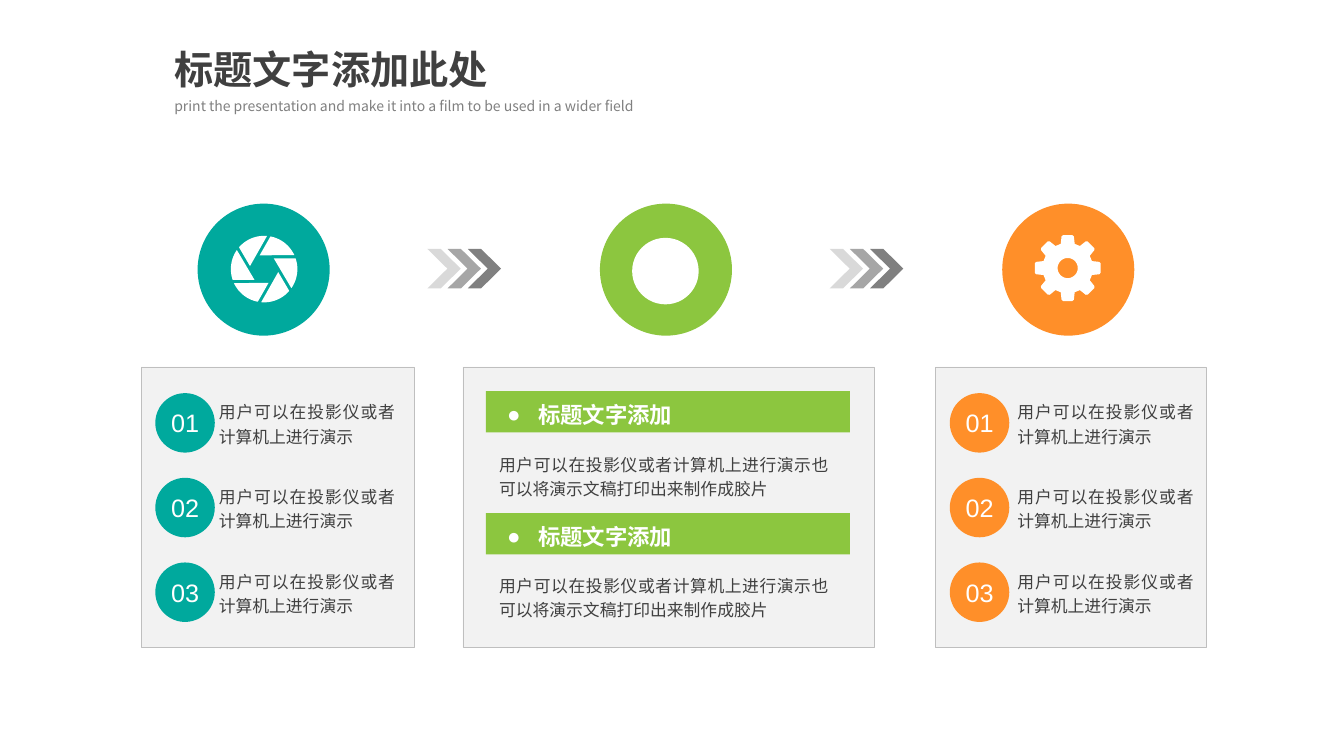
from dataclasses import dataclass
from math import cos, radians, sin

from lxml import etree
from pptx import Presentation
from pptx.dml.color import RGBColor
from pptx.enum.shapes import MSO_SHAPE
from pptx.enum.text import MSO_ANCHOR, MSO_AUTO_SIZE, PP_ALIGN
from pptx.oxml.ns import qn
from pptx.util import Emu, Pt

PX = 9144
RECTANGLE, OVAL, CHEVRON = MSO_SHAPE.RECTANGLE, MSO_SHAPE.OVAL, MSO_SHAPE.CHEVRON
LEFT, CENTER, JUSTIFY = PP_ALIGN.LEFT, PP_ALIGN.CENTER, PP_ALIGN.JUSTIFY
TOP, MIDDLE = MSO_ANCHOR.TOP, MSO_ANCHOR.MIDDLE
FIT_SHAPE, NO_FIT = MSO_AUTO_SIZE.SHAPE_TO_FIT_TEXT, MSO_AUTO_SIZE.NONE

SANS = "Noto Sans CJK SC"
TEAL, GREEN, ORANGE = "00A99D", "8CC63F", "FF8F29"
WHITE, DARK, GRAY = "FFFFFF", "404040", "808080"
PANEL_FILL, PANEL_LINE = "F2F2F2", "BFBFBF"
CHEVRON_GRAYS = ("D9D9D9", "A6A6A6", GRAY)
STEP_TEXT = "用户可以在投影仪或者计算机上进行演示"
TOPIC_TITLE = "标题文字添加"
TOPIC_TEXT = "用户可以在投影仪或者计算机上进行演示也可以将演示文稿打印出来制作成胶片"

Contour = list[tuple[float, float]]


@dataclass
class Stage:
    color: str
    icon_left: int
    panel_left: int
    panel_width: int


@dataclass
class StepColumn:
    color: str
    badge_left: int
    text_left: int


@dataclass
class Topic:
    bar_top: int
    text_top: int


STAGES = (
    Stage(TEAL, 196, 140, 271),
    Stage(GREEN, 595, 459, 408),
    Stage(ORANGE, 994, 928, 268),
)
STEP_COLUMNS = (StepColumn(TEAL, 154, 212), StepColumn(ORANGE, 942, 1004))
TOPICS = (Topic(388, 442), Topic(509, 562))
CHEVRON_LEFTS = (424, 823)


def px(value: float) -> Emu:
    return Emu(round(value * PX))


def rgb(color: str) -> RGBColor:
    return RGBColor.from_string(color)


def style(shape, fill: str, line: str | None = None):
    shape.shadow.inherit = False
    shape.fill.solid()
    shape.fill.fore_color.rgb = rgb(fill)
    if line:
        shape.line.color.rgb = rgb(line)
        shape.line.width = Pt(0.25)
    else:
        shape.line.fill.background()
    return shape


def add_shape(page, kind, left: int, top: int, width: int, height: int,
              fill: str, line: str | None = None):
    shape = page.shapes.add_shape(kind, px(left), px(top), px(width), px(height))
    return style(shape, fill, line)


def add_bullet(para, indent: int) -> None:
    properties = para._p.get_or_add_pPr()
    properties.set("marL", str(px(indent)))
    properties.set("indent", str(-px(indent)))
    etree.SubElement(properties, qn("a:buFont"), typeface="Arial")
    etree.SubElement(properties, qn("a:buChar"), char="●")


def write(shape, text: str, *, size: int, color: str, font: str = SANS,
          bold: bool = False, align=LEFT, anchor=TOP, inset: int = 5,
          wrap: bool = True, fit=FIT_SHAPE, spacing: float = 1.0,
          bullet_indent: int = 0) -> None:
    frame = shape.text_frame
    frame.auto_size = fit
    frame.word_wrap = wrap
    frame.vertical_anchor = anchor
    frame.margin_left = frame.margin_right = px(inset)
    frame.margin_top = frame.margin_bottom = px(inset)
    para = frame.paragraphs[0]
    if bullet_indent:
        add_bullet(para, bullet_indent)
    para.alignment = align
    para.line_spacing = spacing
    para.space_before = Pt(0)
    span = para.add_run()
    span.text = text
    span.font.name = font
    span.font.size = Pt(size)
    span.font.bold = bold
    span.font.color.rgb = rgb(color)
    etree.SubElement(span._r.get_or_add_rPr(), qn("a:ea"), typeface=font)


def add_text(page, text: str, left: int, top: int, width: int, height: int,
             **text_format) -> None:
    box = page.shapes.add_textbox(px(left), px(top), px(width), px(height))
    write(box, text, **text_format)


def polar(center: tuple[int, int], radius: float, degrees: float) -> tuple[float, float]:
    angle = radians(degrees)
    return center[0] + radius * cos(angle), center[1] + radius * sin(angle)


def add_outline(page, contours: list[Contour], fill: str) -> None:
    scaled = [[(px(x), px(y)) for x, y in contour] for contour in contours]
    builder = page.shapes.build_freeform(*scaled[0][0], scale=1.0)
    for number, contour in enumerate(scaled):
        if number:
            builder.move_to(*contour[0])
        builder.add_line_segments(contour[1:], close=True)
    style(builder.convert_to_shape(), fill)


def shutter(center: tuple[int, int]) -> list[Contour]:
    return [
        [polar(center, 33, turn - degrees) for degrees in range(85, 140, 3)]
        + [polar(center, 14.3, turn - 168)]
        for turn in range(0, 360, 60)
    ]


def gear(center: tuple[int, int]) -> list[Contour]:
    tooth = ((25, -16), (32, -11), (33, -8), (33, 8), (32, 11), (25, 16))
    rim = [polar(center, radius, turn + offset)
           for turn in range(0, 360, 45) for radius, offset in tooth]
    hole = [polar(center, 10, -degrees) for degrees in range(0, 360, 10)]
    return [rim, hole]


def add_steps(page, column: StepColumn) -> None:
    for number in range(3):
        top = 390 + 84 * number
        badge = add_shape(page, OVAL, column.badge_left, top, 59, 59, column.color)
        write(badge, f"{number + 1:02}", size=18, color=WHITE, font="Arial",
              align=CENTER, anchor=MIDDLE, inset=0, wrap=False, fit=NO_FIT)
        add_text(page, STEP_TEXT, column.text_left, top, 185, 62,
                 size=12, color=DARK, align=JUSTIFY, spacing=1.2)


def add_topic(page, topic: Topic) -> None:
    add_shape(page, RECTANGLE, 482, topic.bar_top, 361, 41, GREEN)
    add_text(page, TOPIC_TITLE, 498, topic.bar_top, 224, 41, size=16,
             color=WHITE, bold=True, spacing=1.2, bullet_indent=31)
    add_text(page, TOPIC_TEXT, 490, topic.text_top, 337, 62,
             size=12, color=DARK, align=JUSTIFY, spacing=1.2)


def main() -> None:
    deck = Presentation()
    deck.slide_width, deck.slide_height = px(1333), px(750)
    page = deck.slides.add_slide(deck.slide_layouts[5])

    title = page.shapes.title
    title.left, title.top, title.width, title.height = px(168), px(40), px(360), px(66)
    write(title, "标题文字添加此处", size=28, color=DARK, bold=True)
    add_text(page, "print the presentation and make it into a film to be used in a wider field",
             168, 89, 534, 27, size=10, color=GRAY, spacing=1.2)

    for stage in STAGES:
        add_shape(page, RECTANGLE, stage.panel_left, 364, stage.panel_width, 278,
                  PANEL_FILL, PANEL_LINE)
        add_shape(page, OVAL, stage.icon_left, 202, 131, 131, stage.color)
    add_outline(page, shutter((262, 267)), WHITE)
    add_shape(page, OVAL, 627, 236, 66, 66, WHITE)
    add_outline(page, gear((1059, 266)), WHITE)

    for left in CHEVRON_LEFTS:
        for position, color in enumerate(CHEVRON_GRAYS):
            arrow = add_shape(page, CHEVRON, left + 20 * position, 247, 33, 39, color)
            arrow.adjustments[0] = 0.6

    for column in STEP_COLUMNS:
        add_steps(page, column)
    for topic in TOPICS:
        add_topic(page, topic)
    deck.save("out.pptx")


if __name__ == "__main__":
    main()
